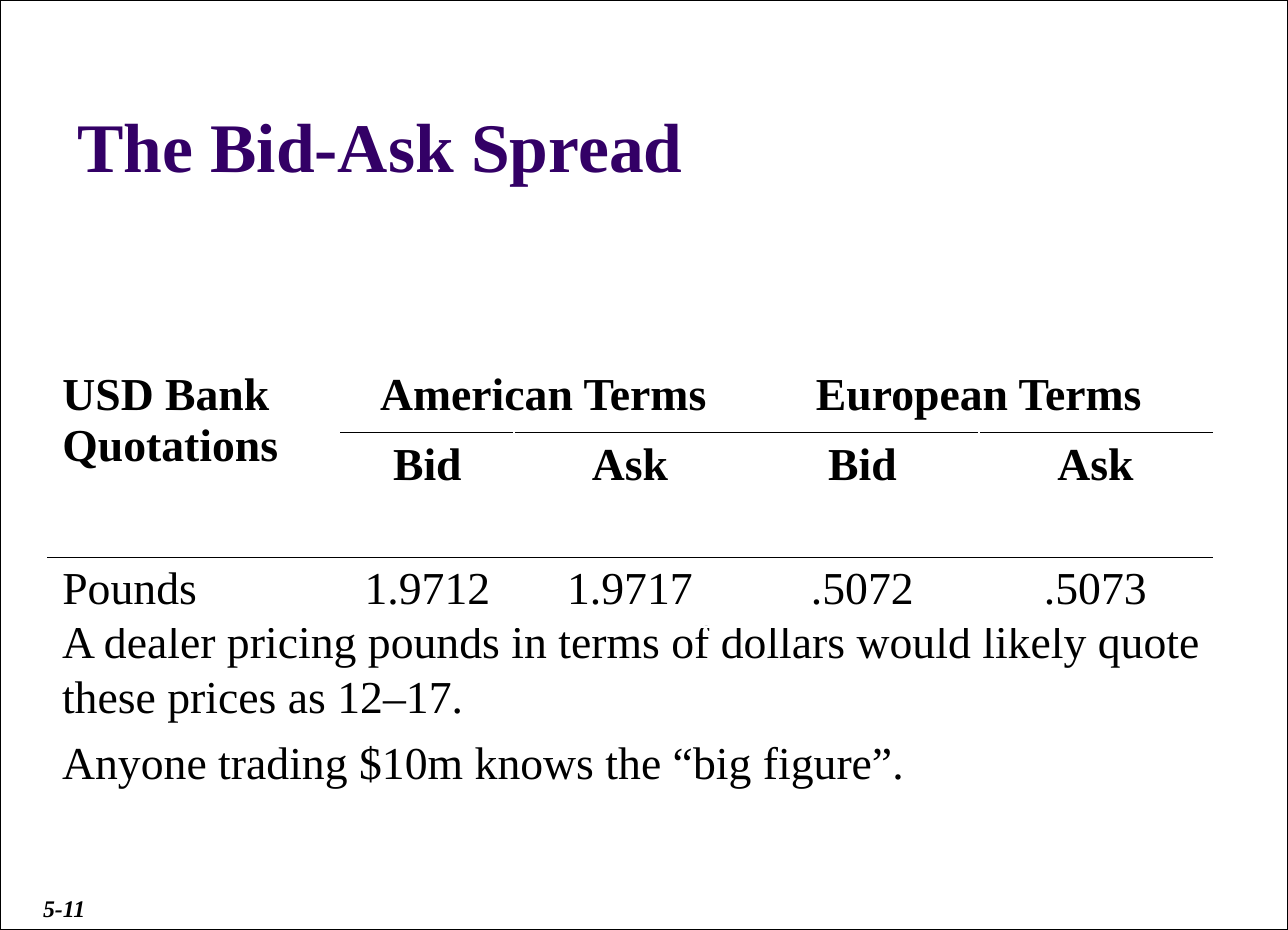
from lxml.etree import SubElement
from pptx import Presentation
from pptx.dml.color import RGBColor
from pptx.enum.shapes import MSO_SHAPE
from pptx.enum.text import MSO_ANCHOR, PP_ALIGN
from pptx.oxml.ns import qn
from pptx.util import Inches, Pt

PX = 6390  # EMU per px
FONT = "Times New Roman"
BLACK = "000000"


def rgb(value):
    return RGBColor.from_string(value)


def write(p, text, size, color=BLACK, **formats):
    r = p.add_run()
    r.text = text
    r.font.color.rgb = rgb(color)
    for name, value in {"name": FONT, "size": Pt(size), **formats}.items():
        setattr(r.font, name, value)


prs = Presentation()
prs.slide_width, prs.slide_height = Inches(9), Inches(6.5)
s = prs.slides.add_slide(prs.slide_layouts[5])

# Frame, behind the title
frame = s.shapes.add_shape(MSO_SHAPE.RECTANGLE, 0, 0, prs.slide_width, prs.slide_height)
frame.shadow.inherit = False
frame.fill.solid()
frame.fill.fore_color.rgb = rgb("FFFFFF")
frame.line.color.rgb = rgb(BLACK)
frame.line.width = Pt(0.75)
title = s.shapes.title
frame._element.addnext(title._element)

# Title, body text and page number
body = s.shapes.add_textbox(0, 0, 0, 0)
number = s.shapes.add_textbox(0, 0, 0, 0)
boxes = [
    (title, (64, 17, 1159, 176), (13, 6), MSO_ANCHOR.BOTTOM),
    (body, (49, 607, 1203, 245), (13, 6), MSO_ANCHOR.TOP),
    (number, (29, 887, 83, 43), (14, 7), MSO_ANCHOR.TOP),
]
for sp, box, (side, edge), anchor in boxes:
    sp.left, sp.top, sp.width, sp.height = [v * PX for v in box]
    tf = sp.text_frame
    formats = {
        "margin_left": side * PX, "margin_right": side * PX,
        "margin_top": edge * PX, "margin_bottom": edge * PX,
        "word_wrap": True, "vertical_anchor": anchor,
    }
    for name, value in formats.items():
        setattr(tf, name, value)

p = title.text_frame.paragraphs[0]
p.alignment = PP_ALIGN.LEFT
write(p, "The Bid-Ask Spread", 35, "330066", bold=True)

tf = body.text_frame
write(tf.paragraphs[0], "A dealer pricing pounds in terms of dollars would likely "
      "quote these prices as 12–17.", 23)
p = tf.add_paragraph()
p.space_before = Pt(5.8)
write(p, "Anyone trading $10m knows the “big figure”.", 23)

write(number.text_frame.paragraphs[0], "5-11", 12, bold=True, italic=True)

# Quotation table
rows = [
    ["USD Bank Quotations", "American Terms", "", "European Terms", ""],
    ["", "Bid", "Ask", "Bid", "Ask"],
    ["Pounds", "1.9712", "1.9717", ".5072", ".5073"],
]
widths = [293, 173, 232, 233, 233]
heights = [69, 125, 70]
table = s.shapes.add_table(3, 5, 48 * PX, 363 * PX, sum(widths) * PX, sum(heights) * PX).table
table.first_row = table.horz_banding = False
for column, width in zip(table.columns, widths):
    column.width = width * PX
for row, height in zip(table.rows, heights):
    row.height = height * PX
for first, last in [((0, 0), (1, 0)), ((0, 1), (0, 2)), ((0, 3), (0, 4))]:
    table.cell(*first).merge(table.cell(*last))

for i, texts in enumerate(rows):
    for j, text in enumerate(texts):
        cell = table.cell(i, j)
        if text:
            p = cell.text_frame.paragraphs[0]
            p.alignment = PP_ALIGN.CENTER if j else PP_ALIGN.LEFT
            write(p, text, 23, bold=i < 2)
        # Rules under the two header rows
        tcPr = cell._tc.get_or_add_tcPr()
        edges = [("a:lnT", i == 2 or (i == 1 and j > 0)), ("a:lnB", i < 2)]
        for tag, ruled in edges:
            if ruled:
                ln = SubElement(tcPr, qn(tag), w=str(Pt(0.45)))
                SubElement(SubElement(ln, qn("a:solidFill")), qn("a:srgbClr"), val=BLACK)
        cell.fill.background()

prs.save("out.pptx")
